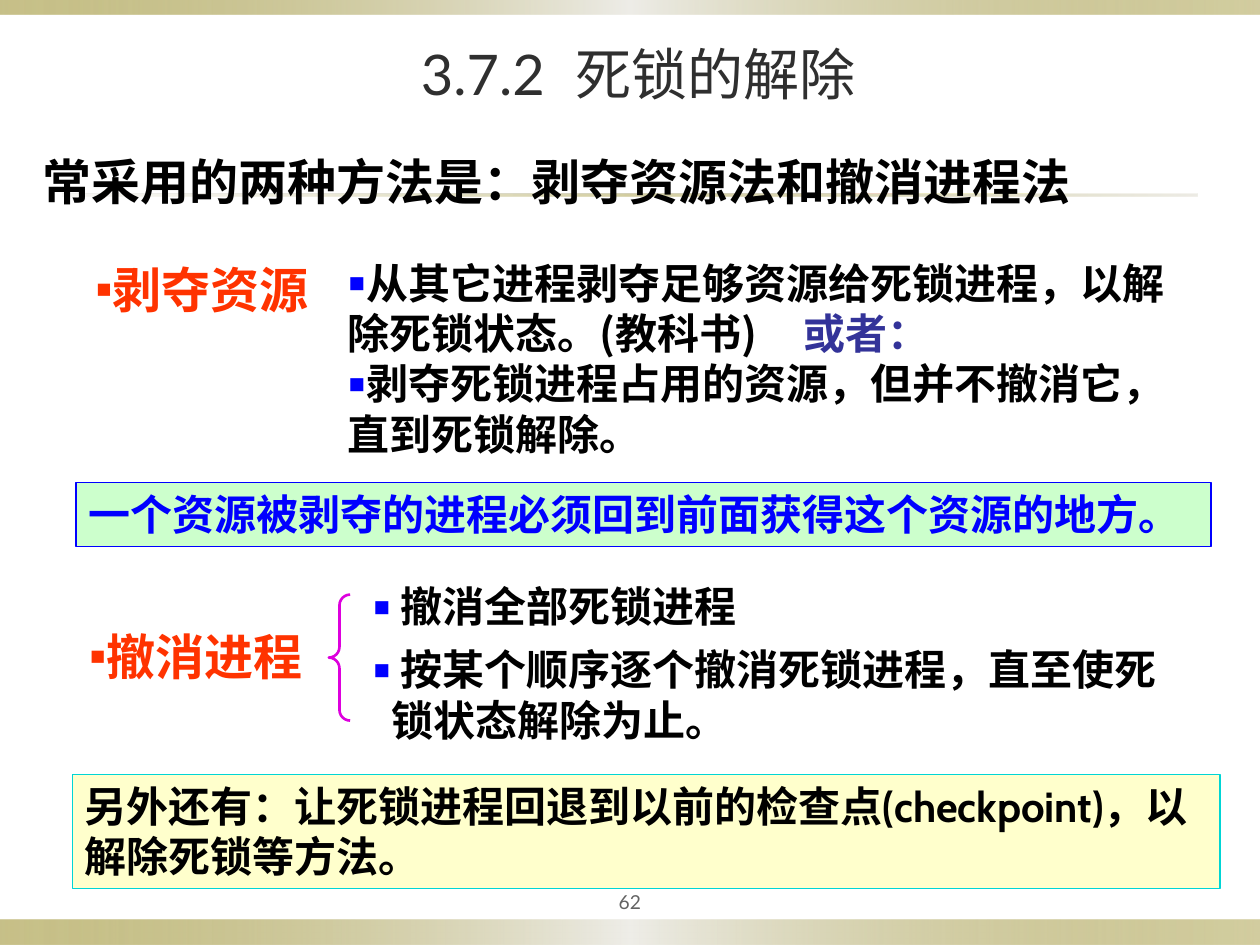
from lxml import etree
from pptx import Presentation
from pptx import util as u
from pptx.dml.color import RGBColor
from pptx.enum import shapes, text
from pptx.oxml.ns import qn

CJK = "Noto Sans CJK SC"
BLUE, RED, BLACK = "0000FF", "FF3300", "000000"
BAND = [(0, "918415", 50), (50, "EEEDE8", 100), (100, "918415", 40)]
RULE = [(0, "DCD9CC", 20), (50, "918415", 40), (100, "DCD9CC", 50)]


def rgb(value):
    return RGBColor.from_string(value)


def place(sp, box):
    sp.left, sp.top, sp.width, sp.height = [u.Pt(v) for v in box]


def shape(s, kind, box, fill=None, line=None, weight=0.75):
    sp = s.shapes.add_shape(kind, *[u.Pt(v) for v in box])
    sp.shadow.inherit = False
    if fill:
        sp.fill.solid()
        sp.fill.fore_color.rgb = rgb(fill)
    else:
        sp.fill.background()
    if line:
        sp.line.color.rgb = rgb(line)
        sp.line.width = u.Pt(weight)
    else:
        sp.line.fill.background()
    return sp


def gradient_bar(s, box, stops):
    sp = shape(s, shapes.MSO_SHAPE.RECTANGLE, box)
    sp.fill.gradient()
    sp.fill.gradient_angle = 0
    lst = sp._element.spPr.find(".//" + qn("a:gsLst"))
    for gs in list(lst):
        lst.remove(gs)
    for pos, color, alpha in stops:
        gs = etree.SubElement(lst, qn("a:gs"), pos=str(pos * 1000))
        clr = etree.SubElement(gs, qn("a:srgbClr"), val=color)
        etree.SubElement(clr, qn("a:alpha"), val=str(alpha * 1000))


def frame(sp, anchor=text.MSO_ANCHOR.TOP):
    tf = sp.text_frame
    tf.word_wrap = True
    tf.auto_size = text.MSO_AUTO_SIZE.NONE
    tf.vertical_anchor = anchor
    return tf


def textbox(s, box):
    return frame(s.shapes.add_textbox(*[u.Pt(v) for v in box]))


def style(r, size, color, font=CJK, bold=True, gap=0):
    r.font.size, r.font.bold, r.font.name = u.Pt(size), bold, font
    r.font.color.rgb = rgb(color)
    rPr = r._r.get_or_add_rPr()
    ea = etree.Element(qn("a:ea"), typeface=CJK)
    rPr.find(qn("a:latin")).addnext(ea)
    if gap:
        rPr.set("spc", str(gap * 100))


def write(p, content, size, color, font=CJK, align=text.PP_ALIGN.LEFT):
    p.text = content
    p.alignment = align
    p.space_before = u.Pt(0)
    style(p.runs[0], size, color, font)


def add_run(p, content, *args, **kwargs):
    r = p.add_run()
    r.text = content
    style(r, *args, **kwargs)


def bullet(p, color, percent=100):
    pPr = p._p.get_or_add_pPr()
    pPr.set("marL", "0")
    pPr.set("indent", "0")
    clr = etree.SubElement(pPr, qn("a:buClr"))
    etree.SubElement(clr, qn("a:srgbClr"), val=color)
    etree.SubElement(pPr, qn("a:buSzPct"), val=str(percent * 1000))
    etree.SubElement(pPr, qn("a:buFont"), typeface="Arial")
    etree.SubElement(pPr, qn("a:buChar"), char="▪")


def backdrop(s, w, h):
    gradient_bar(s, (0, h - 14.4, w, 14.4), BAND)
    gradient_bar(s, (0, 0, w, 8.4), BAND)
    gradient_bar(s, (36, 110.9, w - 72, 1.44), RULE)


def heading(s, box):
    sp = s.shapes.title
    place(sp, box)
    p = frame(sp, text.MSO_ANCHOR.MIDDLE).paragraphs[0]
    p.alignment = text.PP_ALIGN.CENTER
    add_run(p, "3.7.2", 32, "2F2F2F", "Lato", False)
    add_run(p, " ", 32, "2F2F2F", "Lato", False, gap=9)
    add_run(p, "死锁的解除", 32, "2F2F2F", CJK, False)


def page_number(s, box):
    tf = textbox(s, box)
    tf.vertical_anchor = text.MSO_ANCHOR.MIDDLE
    write(tf.paragraphs[0], "62", 11, "636363", "Lato", text.PP_ALIGN.CENTER)
    tf.paragraphs[0].runs[0].font.bold = False


def method_label(s, box, content):
    p = textbox(s, box).paragraphs[0]
    write(p, content, 28, RED)
    bullet(p, RED)


def preempt_region(s, box):
    x, y, w, h = box
    method_label(s, (x, y + 1.5, 169, 41), "剥夺资源")
    sp = s.placeholders[1]
    place(sp, (x + 144, y, w - 144, h))
    tf = frame(sp)
    p = tf.paragraphs[0]
    write(p, "从其它进程剥夺足够资源给死锁进程，以解除死锁状态。(教科书)", 24, BLACK)
    add_run(p, " ", 24, BLACK, gap=21)
    add_run(p, "或者：", 24, "333399")
    bullet(p, BLUE, 125)
    p = tf.add_paragraph()
    write(p, "剥夺死锁进程占用的资源，但并不撤消它，直到死锁解除。", 24, BLACK)
    bullet(p, BLUE, 125)


def kill_region(s, box):
    x, y, w, h = box
    method_label(s, (x, y + 26, 144, 41), "撤消进程")
    brace = shape(s, shapes.MSO_SHAPE.LEFT_BRACE, (x + 144, y + 11.5, 12.2, 72),
                  line="DD00DD", weight=1.5)
    brace.adjustments[0] = brace.adjustments[1] = 0.5
    first = textbox(s, (x + 162, y, 294, 36)).paragraphs[0]
    tf = textbox(s, (x + 162, y + 36, w - 162, h - 36))
    second, tail = tf.paragraphs[0], tf.add_paragraph()
    for p, content in ((first, " 撤消全部死锁进程"),
                       (second, " 按某个顺序逐个撤消死锁进程，直至使死")):
        write(p, content, 24, BLACK)
        bullet(p, BLUE, 125)
    write(tail, "锁状态解除为止。", 24, BLACK)
    tail._p.get_or_add_pPr().set("marL", str(u.Pt(11)))


def note(s, box, content, color, fill, line):
    sp = shape(s, shapes.MSO_SHAPE.RECTANGLE, box, fill, line)
    write(frame(sp).paragraphs[0], content, 24, color, "Cabin")


def main():
    prs = Presentation()
    prs.slide_width, prs.slide_height = u.Pt(720), u.Pt(540)
    s = prs.slides.add_slide(prs.slide_layouts[1])
    backdrop(s, 720, 540)
    heading(s, (38.9, 14.8, 651.6, 54))
    page_number(s, (324, 504, 72, 22.3))
    write(textbox(s, (17.3, 82.8, 680.4, 41)).paragraphs[0],
          "常采用的两种方法是：剥夺资源法和撤消进程法", 28, BLACK)
    preempt_region(s, (47.5, 143.3, 637.2, 122.4))
    note(s, (43.4, 275.8, 648.7, 36.5),
         "一个资源被剥夺的进程必须回到前面获得这个资源的地方。", BLUE, "CCFFCC", BLUE)
    kill_region(s, (43.9, 328.3, 658.8, 100.8))
    note(s, (41.3, 442.4, 655.9, 65.2),
         "另外还有：让死锁进程回退到以前的检查点(checkpoint)，以解除死锁等方法。",
         BLACK, "FFFFCC", "00D5D5")
    prs.save("out.pptx")


if __name__ == "__main__":
    main()
